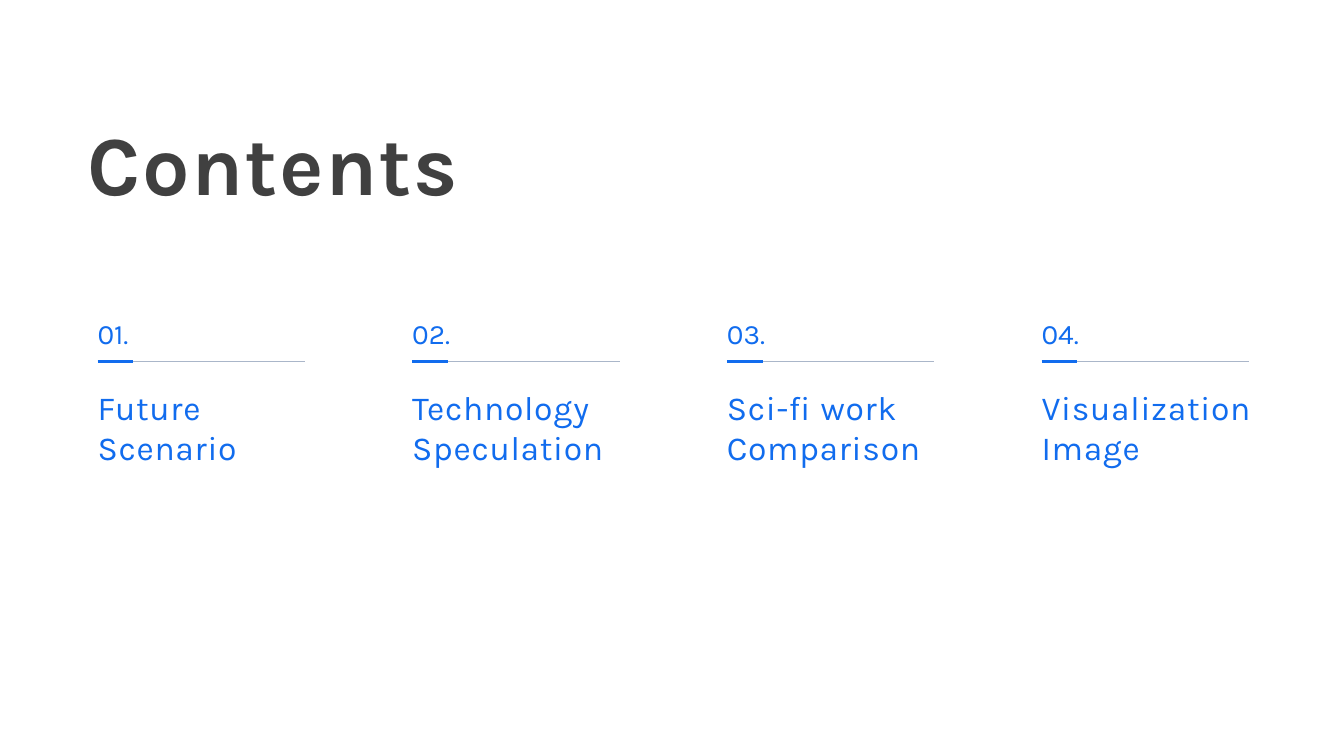
from dataclasses import dataclass

from pptx import Presentation
from pptx.dml.color import RGBColor
from pptx.enum.shapes import MSO_CONNECTOR
from pptx.enum.text import MSO_ANCHOR
from pptx.oxml.ns import qn
from pptx.slide import Slide
from pptx.util import Cm, Pt
from lxml.etree import SubElement

COLORS = {"heading": "404040", "accent": "116CEE", "rule": "AAB6C9"}
FONT = "Karla"
LEFT, PITCH, RULE_Y = 2.46, 7.93, 9.12


@dataclass
class Box:
    left: float
    top: float
    width: float
    height: float


@dataclass
class TextStyle:
    size: int
    color: str = "accent"
    bold: bool = False
    tracking: int = 0
    anchor: MSO_ANCHOR = MSO_ANCHOR.BOTTOM


HEADING = TextStyle(60, "heading", bold=True, tracking=100)
NUMBER = TextStyle(20)
TOPIC = TextStyle(24, tracking=50, anchor=MSO_ANCHOR.TOP)

TOPICS = [
    "Future\nScenario",
    "Technology\nSpeculation",
    "Sci-fi work\nComparison",
    "Visualization\nImage",
]


def add_text(s: Slide, text: str, box: Box, style: TextStyle) -> None:
    sp = s.shapes.add_textbox(Cm(box.left), Cm(box.top), Cm(box.width), Cm(box.height))
    tf = sp.text_frame
    tf.word_wrap = True
    tf.vertical_anchor = style.anchor
    tf.margin_left = tf.margin_top = tf.margin_right = tf.margin_bottom = 0
    tf.text = text
    for p in tf.paragraphs:
        for r in p.runs:
            r.font.name = FONT
            r.font.size = Pt(style.size)
            r.font.bold = style.bold
            r.font.color.rgb = RGBColor.from_string(COLORS[style.color])
            if style.tracking:
                r.font._element.set("spc", str(style.tracking))


def add_rule(s: Slide, left: float, length: float, color: str, weight: float) -> None:
    line = s.shapes.add_connector(
        MSO_CONNECTOR.STRAIGHT, Cm(left), Cm(RULE_Y), Cm(left + length), Cm(RULE_Y)
    )
    line.line.color.rgb = RGBColor.from_string(COLORS[color])
    line.line.width = Pt(weight)
    SubElement(line._element.spPr, qn("a:effectLst"))


def add_topic(s: Slide, index: int, topic: str) -> None:
    left = LEFT + index * PITCH
    add_rule(s, left, 5.23, "rule", 0.75)
    add_rule(s, left, 0.9, "accent", 2.25)
    add_text(s, f"{index + 1:02}.", Box(left, 7.47, 2.54, 1.35), NUMBER)
    add_text(s, topic, Box(left, 9.75, 6.55, 5.18), TOPIC)


def main() -> None:
    prs = Presentation()
    prs.slide_width, prs.slide_height = Cm(33.87), Cm(19.05)
    s = prs.slides.add_slide(prs.slide_layouts[6])
    add_text(s, "Contents", Box(2.21, 2.41, 10.69, 2.95), HEADING)
    for index, topic in enumerate(TOPICS):
        add_topic(s, index, topic)
    prs.save("out.pptx")


if __name__ == "__main__":
    main()
